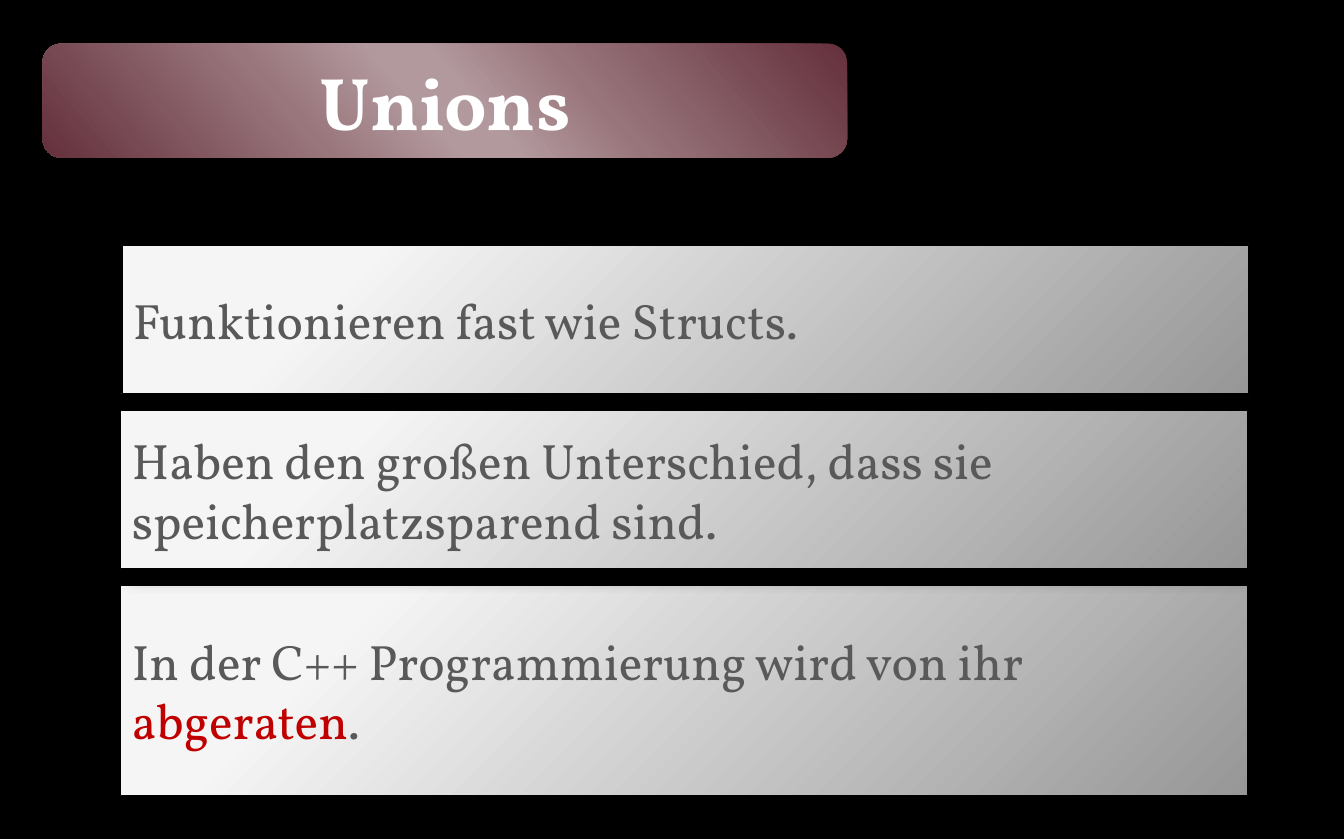
from dataclasses import dataclass

from pptx import Presentation
from pptx.dml.color import RGBColor
from pptx.enum.shapes import MSO_SHAPE
from pptx.enum.text import MSO_ANCHOR, PP_ALIGN
from pptx.oxml import parse_xml
from pptx.oxml.ns import nsdecls, qn
from pptx.util import Emu, Pt

RECTANGLE = MSO_SHAPE.RECTANGLE
ROUNDED = MSO_SHAPE.ROUNDED_RECTANGLE
MIDDLE = MSO_ANCHOR.MIDDLE
LEFT, CENTER = PP_ALIGN.LEFT, PP_ALIGN.CENTER
PX = 9144
BLANK_LAYOUT = 6


@dataclass(frozen=True)
class Theme:
    font: str = "Vollkorn"
    title_size: int = 48
    body_size: int = 32
    black: str = "000000"
    white: str = "FFFFFF"
    text: str = "595959"
    accent: str = "C00000"
    silver: tuple = ((20, "F5F5F5"), (100, "979797"))
    wine: tuple = ((0, "64303B"), (33, "98757B"), (47, "B2999D"),
                   (53, "B2999D"), (68, "99767C"), (100, "64303B"))


THEME = Theme()


@dataclass(frozen=True)
class Shadow:
    alpha: int
    blur: float
    distance: float


@dataclass(frozen=True)
class Style:
    shape: int
    stops: tuple
    direction: str
    shadow: Shadow
    outlined: bool
    align: int
    size: int
    color: str
    bold: bool = False


@dataclass(frozen=True)
class Panel:
    left: int
    top: int
    width: int
    height: int
    style: Style
    spans: tuple


RADIAL = ('<a:path path="circle"><a:fillToRect l="-15000" t="-15000" '
          'r="115000" b="115000"/></a:path>')
DIAGONAL = f'<a:lin ang="{139 * 60000}" scaled="0"/>'

STATEMENT = Style(RECTANGLE, THEME.silver, RADIAL, Shadow(35, 10.2, 8),
                  True, LEFT, THEME.body_size, THEME.text)
TITLE = Style(ROUNDED, THEME.wine, DIAGONAL, Shadow(26, 15, 18),
              False, CENTER, THEME.title_size, THEME.white, True)

PANELS = (
    Panel(108, 523, 1007, 188, STATEMENT,
          (("In der C++ Programmierung wird von ihr ", THEME.text),
           ("abgeraten", THEME.accent), (".", THEME.text))),
    Panel(109, 219, 1007, 133, STATEMENT,
          (("Funktionieren fast wie Structs.", THEME.text),)),
    Panel(108, 367, 1007, 141, STATEMENT,
          (("Haben den großen Unterschied, dass sie speicherplatzsparend sind.",
            THEME.text),)),
    Panel(38, 39, 719, 102, TITLE, (("Unions", THEME.white),)),
)


def px(length: int) -> Emu:
    return Emu(length * PX)


def rgb(color: str) -> RGBColor:
    return RGBColor.from_string(color)


def set_gradient(shape, style: Style) -> None:
    stops = "".join(f'<a:gs pos="{position * 1000}"><a:srgbClr val="{color}"/></a:gs>'
                    for position, color in style.stops)
    shape.fill.background()
    properties = shape._element.spPr
    properties.replace(properties.find(qn("a:noFill")), parse_xml(
        f'<a:gradFill {nsdecls("a")} rotWithShape="1"><a:gsLst>{stops}</a:gsLst>'
        f'{style.direction}</a:gradFill>'))


def set_shadow(shape, shadow: Shadow) -> None:
    shape.shadow.inherit = False
    effects = shape._element.spPr.find(qn("a:effectLst"))
    effects.append(parse_xml(
        f'<a:outerShdw {nsdecls("a")} blurRad="{Pt(shadow.blur)}" '
        f'dist="{Pt(shadow.distance)}" dir="{45 * 60000}" algn="tl" rotWithShape="0">'
        f'<a:srgbClr val="{THEME.black}"><a:alpha val="{shadow.alpha * 1000}"/>'
        f'</a:srgbClr></a:outerShdw>'))


def write_text(shape, panel: Panel) -> None:
    style = panel.style
    frame = shape.text_frame
    frame.word_wrap = True
    frame.vertical_anchor = MIDDLE
    para = frame.paragraphs[0]
    para.alignment = style.align
    para.font.name = THEME.font
    para.font.size = Pt(style.size)
    para.font.bold = style.bold
    para.font.color.rgb = rgb(style.color)
    for text, color in panel.spans:
        span = para.add_run()
        span.text = text
        span.font.color.rgb = rgb(color)


def draw_panel(page, panel: Panel) -> None:
    style = panel.style
    shape = page.shapes.add_shape(style.shape, px(panel.left), px(panel.top),
                                  px(panel.width), px(panel.height))
    set_gradient(shape, style)
    if style.outlined:
        shape.line.color.rgb = rgb(THEME.black)
        shape.line.width = Pt(0.75)
    else:
        shape.line.fill.background()
    set_shadow(shape, style.shadow)
    write_text(shape, panel)


def main() -> None:
    deck = Presentation()
    deck.slide_width, deck.slide_height = px(1201), px(750)
    page = deck.slides.add_slide(deck.slide_layouts[BLANK_LAYOUT])
    page.background.fill.solid()
    page.background.fill.fore_color.rgb = rgb(THEME.black)
    for panel in PANELS:
        draw_panel(page, panel)
    deck.save("out.pptx")


if __name__ == "__main__":
    main()
